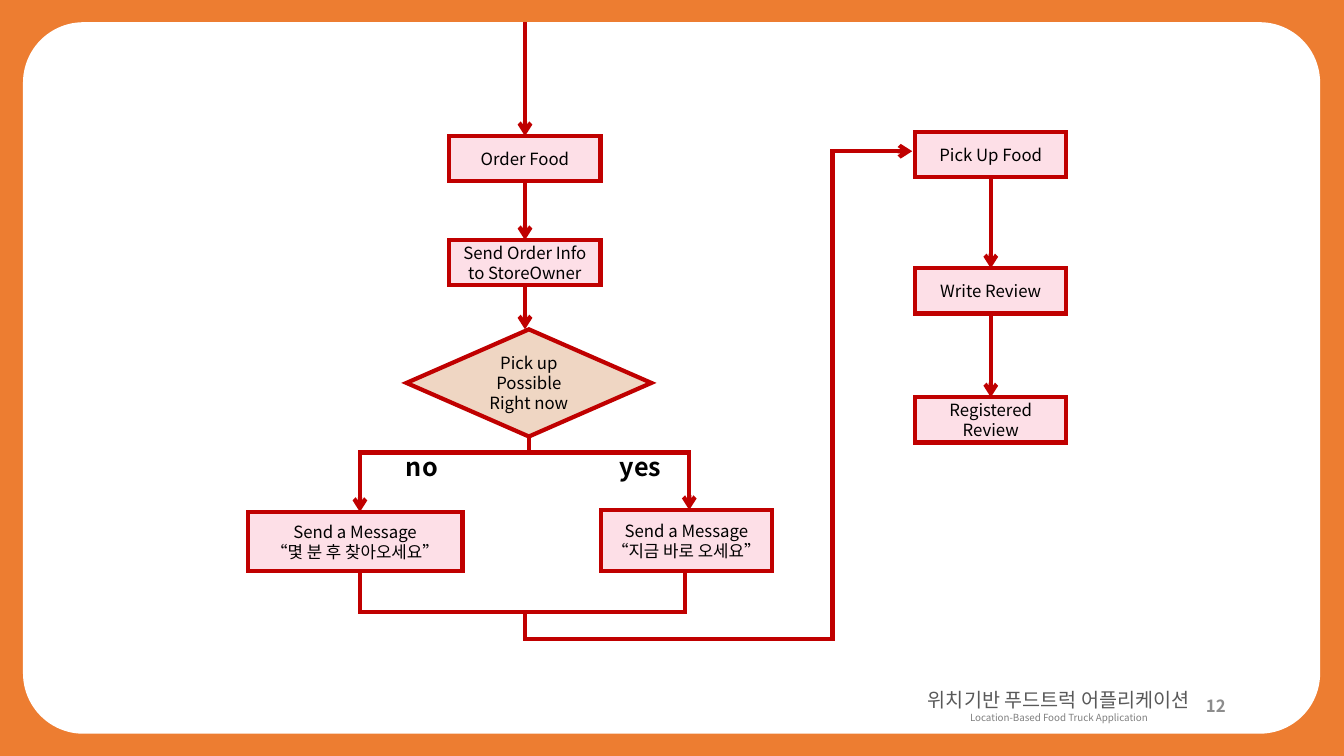
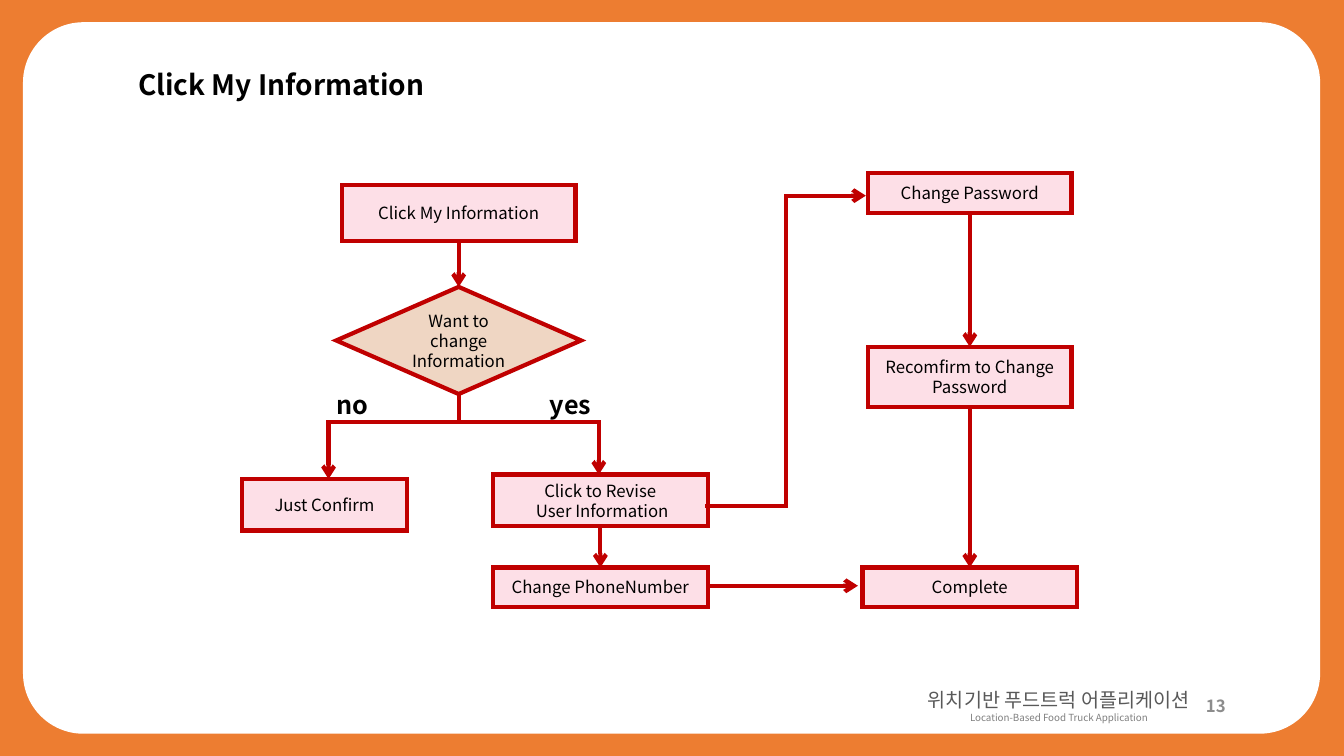
from dataclasses import dataclass

from lxml import etree
from pptx import Presentation
from pptx.dml.color import RGBColor
from pptx.enum.shapes import MSO_CONNECTOR, MSO_SHAPE
from pptx.enum.text import MSO_ANCHOR, MSO_AUTO_SIZE, PP_ALIGN
from pptx.oxml.ns import qn
from pptx.util import Cm, Pt

LEFT, CENTER, RIGHT = PP_ALIGN.LEFT, PP_ALIGN.CENTER, PP_ALIGN.RIGHT
TOP, MIDDLE = MSO_ANCHOR.TOP, MSO_ANCHOR.MIDDLE
RECT, ROUNDED, DIAMOND = MSO_SHAPE.RECTANGLE, MSO_SHAPE.ROUNDED_RECTANGLE, MSO_SHAPE.DIAMOND
STRAIGHT = MSO_CONNECTOR.STRAIGHT
BOTTOM_SITE, TOP_SITE = 2, 0


@dataclass(frozen=True)
class Theme:
    font: str = "Noto Sans CJK KR"
    frame: str = "ED7D31"
    panel: str = "FFFFFF"
    step: str = "FDDFE7"
    decision: str = "EFD6C3"
    line: str = "C00000"
    text: str = "000000"
    footer: str = "595959"
    subfooter: str = "808080"
    number: str = "8C8C8C"
    line_width: float = 3
    title_size: int = 20
    label_size: int = 18
    footer_size: int = 14
    body_size: int = 12
    subfooter_size: int = 7


T = Theme()


def rgb(value):
    return RGBColor.from_string(value)


# Text
def write(tf, text, size, color=T.text, bold=False, align=CENTER, anchor=MIDDLE):
    tf.word_wrap = True
    tf.vertical_anchor = anchor
    tf.text = text
    for p in tf.paragraphs:
        p.alignment = align
        font = p.font
        font.name, font.size, font.bold = T.font, Pt(size), bold
        font.color.rgb = rgb(color)
        # Korean letters take the East Asian typeface
        latin = p._p.pPr.find(qn("a:defRPr")).find(qn("a:latin"))
        ea = etree.Element(qn("a:ea"), typeface=T.font)
        latin.addnext(ea)


def text_box(s, x, y, w, h, text, size, grow=True, **style):
    tf = s.shapes.add_textbox(Cm(x), Cm(y), Cm(w), Cm(h)).text_frame
    write(tf, text, size, **style)
    if grow:
        tf.auto_size = MSO_AUTO_SIZE.SHAPE_TO_FIT_TEXT


def label(s, x, y, text):
    text_box(s, x, y, 2, 1.02, text, T.label_size, bold=True, align=LEFT, anchor=TOP)


# Shapes
def stroke(line):
    """Flowchart line with sharp corners; returns its XML element."""
    line.color.rgb = rgb(T.line)
    line.width = Pt(T.line_width)
    ln = line._get_or_add_ln()
    etree.SubElement(ln, qn("a:miter"), lim="800000")
    return ln


def filled(s, kind, x, y, w, h, color):
    sp = s.shapes.add_shape(kind, Cm(x), Cm(y), Cm(w), Cm(h))
    sp.shadow.inherit = False
    sp.fill.solid()
    sp.fill.fore_color.rgb = rgb(color)
    sp.line.fill.background()
    return sp


def node(s, cx, top, w, h, text, kind=RECT, color=T.step):
    """Flowchart box, centred on cx."""
    sp = filled(s, kind, cx - w / 2, top, w, h, color)
    stroke(sp.line)
    write(sp.text_frame, text, T.body_size)
    return sp


def decision(s, cx, top, text):
    """Diamond tall enough to hold three lines inside its outline."""
    sp = node(s, cx, top, 6.17, 2.7, text, DIAMOND, T.decision)
    tf = sp.text_frame
    tf.margin_top = tf.margin_bottom = 0


# Connectors
def segment(s, start, end, arrow=False):
    c = s.shapes.add_connector(STRAIGHT, *(Cm(v) for v in (*start, *end)))
    ln = stroke(c.line)
    if arrow:
        etree.SubElement(ln, qn("a:tailEnd"), type="arrow")
    else:
        ln.set("cap", "sq")  # closes the corner with the next segment
    etree.SubElement(c._element.spPr, qn("a:effectLst"))
    return c


def route(s, *points, arrow=True):
    """Line through the points, with the arrowhead on the last segment."""
    last = len(points) - 2
    for i, (start, end) in enumerate(zip(points, points[1:])):
        segment(s, start, end, arrow and i == last)


def link(s, *nodes):
    """Arrows glued from each box down to the next."""
    for upper, lower in zip(nodes, nodes[1:]):
        c = segment(s, (0, 0), (0, 0), arrow=True)
        c.begin_connect(upper, BOTTOM_SITE)
        c.end_connect(lower, TOP_SITE)


def branch(s, cx, top, y, *ends):
    """Stem below a decision that splits into one arrow per end."""
    route(s, (cx, top), (cx, y), arrow=False)
    for x, end_y in ends:
        route(s, (cx, y), (x, y), (x, end_y))


# Slide frame and footer
def new_slide(prs, number):
    s = prs.slides.add_slide(prs.slide_layouts[6])
    s.background.fill.solid()
    s.background.fill.fore_color.rgb = rgb(T.frame)
    panel = filled(s, ROUNDED, 0.58, 0.56, 32.69, 17.93, T.panel)
    panel.adjustments[0] = 0.085
    text_box(s, 23.52, 17.27, 7.62, 1.02, str(number), T.body_size, grow=False,
             color=T.number, bold=True, align=RIGHT)
    text_box(s, 20.83, 17.22, 11.71, 0.86, "위치기반 푸드트럭 어플리케이션",
             T.footer_size, color=T.footer, anchor=TOP)
    text_box(s, 20.83, 17.81, 11.71, 0.56, "Location-Based Food Truck Application",
             T.subfooter_size, color=T.subfooter, anchor=TOP)
    return s


def order_slide(prs):
    s = new_slide(prs, 12)
    w, h = 3.81, 1.14

    # Order and decision
    x = 13.23
    route(s, (x, 0.56), (x, 3.43))
    order = node(s, x, 3.43, w, h, "Order Food")
    send = node(s, x, 6.05, w, h, "Send Order Info to StoreOwner")
    link(s, order, send)
    route(s, (x, 7.19), (x, 8.3))
    decision(s, 13.33, 8.3, "Pick up\nPossible Right now")

    # Answers
    branch(s, 13.33, 11, 11.4, (9.07, 12.9), (17.37, 12.85))
    label(s, 9.98, 11.25, "no")
    label(s, 15.37, 11.25, "yes")
    node(s, 8.95, 12.9, 5.41, 1.5, "Send a Message\n“몇 분 후 찾아오세요”")
    node(s, 17.3, 12.85, 4.32, 1.55, "Send a Message\n“지금 바로 오세요”")

    # Merge and way to pick-up
    route(s, (9.07, 14.4), (9.07, 15.42), (17.27, 15.42), (17.27, 14.4), arrow=False)
    route(s, (x, 15.42), (x, 16.1), (20.98, 16.1), (20.98, 3.81), (22.99, 3.81))

    # Pick-up and review
    link(s, *(node(s, 24.97, top, w, h, text) for top, text in (
        (3.33, "Pick Up Food"),
        (6.76, "Write Review"),
        (10.01, "Registered\nReview"),
    )))


def information_slide(prs):
    s = new_slide(prs, 13)
    text_box(s, 3.23, 1.57, 9.09, 1.12, "Click My Information", T.title_size,
             bold=True, align=LEFT, anchor=TOP)

    # Decision
    node(s, 11.56, 4.67, 5.89, 1.4, "Click My Information")
    route(s, (11.56, 6.07), (11.56, 7.23))
    decision(s, 11.56, 7.23, "Want to change Information")

    # Answers
    branch(s, 11.56, 9.93, 10.64, (8.28, 12.07), (15.09, 11.96))
    label(s, 8.23, 9.68, "no")
    label(s, 13.61, 9.68, "yes")
    node(s, 8.18, 12.07, 4.17, 1.3, "Just Confirm")
    revise = node(s, 15.13, 11.96, 5.41, 1.3, "Click to Revise\n User Information")
    phone = node(s, 15.13, 14.3, 5.41, 0.99, "Change PhoneNumber")
    link(s, revise, phone)

    # Password column
    password = node(s, 24.44, 4.37, 5.13, 0.99, "Change Password")
    confirm = node(s, 24.44, 8.74, 5.13, 1.52, "Recomfirm to Change Password")
    complete = node(s, 24.44, 14.3, 5.41, 0.99, "Complete")
    link(s, password, confirm, complete)
    route(s, (17.81, 12.75), (19.81, 12.75), (19.81, 4.93), (21.82, 4.93))
    route(s, (17.86, 14.76), (21.62, 14.76))


def main():
    prs = Presentation()
    prs.slide_width, prs.slide_height = Cm(33.87), Cm(19.05)
    order_slide(prs)
    information_slide(prs)
    prs.save("out.pptx")


if __name__ == "__main__":
    main()
